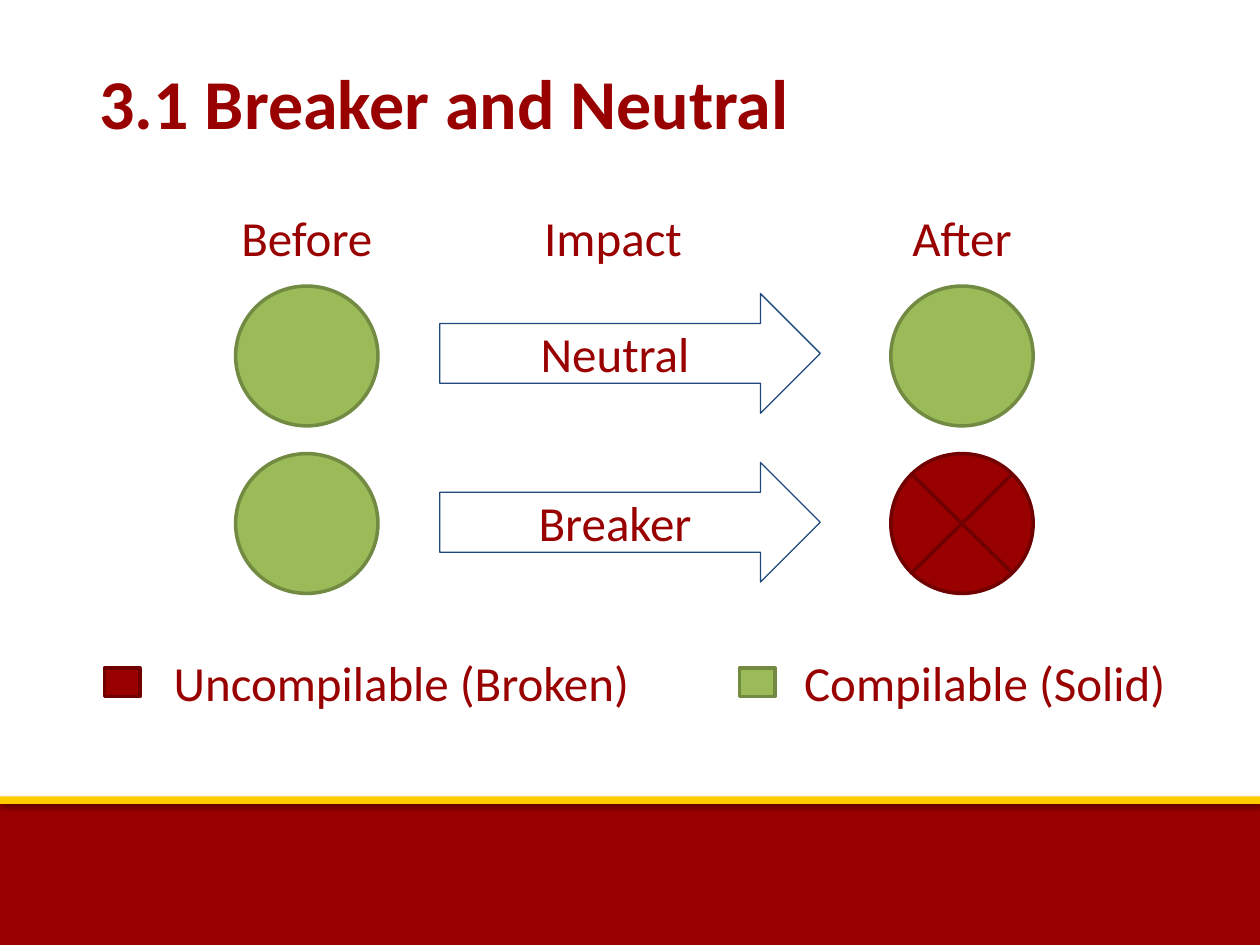
from dataclasses import dataclass

from lxml import etree
from pptx import Presentation
from pptx import util as u
from pptx.dml.color import RGBColor
from pptx.enum import shapes, text
from pptx.oxml import ns

Shape = shapes.MSO_SHAPE
Align = text.PP_ALIGN


@dataclass(frozen=True)
class Theme:
    font: str = "Calibri"
    title_size: int = 40
    body_size: int = 28
    red: str = "990000"
    red_edge: str = "710000"
    green: str = "9BBB59"
    green_edge: str = "738A42"
    gold: str = "FFCC00"
    blue: str = "1F497D"


@dataclass(frozen=True)
class State:
    shape: Shape
    fill: str
    edge: str


@dataclass(frozen=True)
class Change:
    label: str
    state_top: float
    arrow_top: float
    after: State


@dataclass(frozen=True)
class Label:
    text: str
    left: float
    width: float


@dataclass(frozen=True)
class Key:
    label: Label
    box_left: float
    fill: str
    edge: str


THEME = Theme()
SOLID = State(Shape.FLOWCHART_CONNECTOR, THEME.green, THEME.green_edge)
BROKEN = State(Shape.FLOWCHART_SUMMING_JUNCTION, THEME.red, THEME.red_edge)
BEFORE_LEFT, AFTER_LEFT = 1.87, 7.07

HEADINGS = [
    Label("Before", 1.69, 1.49),
    Label("Impact", 4.12, 1.49),
    Label("After", 6.95, 1.37),
]
CHANGES = [
    Change("Neutral", 2.27, 2.33, SOLID),
    Change("Breaker", 3.6, 3.67, BROKEN),
]
KEYS = [
    Key(Label("Uncompilable (Broken)", 1.21, 3.95), 0.83, THEME.red, THEME.red_edge),
    Key(Label("Compilable (Solid)", 6.31, 3.01), 5.87, THEME.green, THEME.green_edge),
]


def write(shape, words: str, *, size: int = THEME.body_size, bold: bool = False,
          align: Align = Align.CENTER, inset: float = 0.1, wrap: bool = True) -> None:
    frame = shape.text_frame
    frame.word_wrap = wrap
    frame.vertical_anchor = text.MSO_ANCHOR.MIDDLE
    frame.margin_left = frame.margin_right = u.Inches(inset)
    frame.margin_top = frame.margin_bottom = u.Inches(inset)
    paragraph = frame.paragraphs[0]
    paragraph.alignment = align
    run = paragraph.add_run()
    run.text = words
    run.font.name = THEME.font
    run.font.size = u.Pt(size)
    run.font.bold = bold
    run.font.color.rgb = RGBColor.from_string(THEME.red)


def add_figure(slide, kind: Shape, left: float, top: float, width: float, height: float,
               fill: str | None = None, edge: str | None = None, weight: float = 2):
    shape = slide.shapes.add_shape(kind, *map(u.Inches, (left, top, width, height)))
    shape.shadow.inherit = False
    if fill:
        shape.fill.solid()
        shape.fill.fore_color.rgb = RGBColor.from_string(fill)
    else:
        shape.fill.background()
    if edge:
        shape.line.color.rgb = RGBColor.from_string(edge)
        shape.line.width = u.Pt(weight)
    else:
        shape.line.fill.background()
    return shape


def add_label(slide, label: Label, top: float, height: float, inset: float) -> None:
    box = slide.shapes.add_textbox(*map(u.Inches, (label.left, top, label.width, height)))
    write(box, label.text, inset=inset, wrap=False)


def add_shadow(shape, blur: float, distance: float, opacity: int) -> None:
    effects = shape._element.spPr.find(ns.qn("a:effectLst"))
    shadow = etree.SubElement(effects, ns.qn("a:outerShdw"), blurRad=str(u.Pt(blur)),
                              dist=str(u.Pt(distance)), dir="5400000", rotWithShape="0")
    color = etree.SubElement(shadow, ns.qn("a:srgbClr"), val="000000")
    etree.SubElement(color, ns.qn("a:alpha"), val=str(opacity * 1000))


def add_footer(slide) -> None:
    band = add_figure(slide, Shape.RECTANGLE, 0, 6.35, 10, 1.15, THEME.red)
    add_shadow(band, 3.1, 1.8, 35)
    stripe = add_figure(slide, Shape.RECTANGLE, 0, 6.32, 10, 0.06, THEME.gold)
    add_shadow(stripe, 3.1, 1.6, 38)


def add_title(slide, words: str) -> None:
    title = slide.shapes.title
    title.left, title.top, title.width, title.height = map(u.Inches, (0.69, 0.4, 8.62, 0.81))
    write(title, words, size=THEME.title_size, bold=True, align=Align.LEFT)


def add_change(slide, change: Change) -> None:
    for left, state in ((BEFORE_LEFT, SOLID), (AFTER_LEFT, change.after)):
        add_figure(slide, state.shape, left, change.state_top, 1.13, 1.11,
                   state.fill, state.edge)
    arrow = add_figure(slide, Shape.RIGHT_ARROW, 3.49, change.arrow_top, 3.02, 0.95,
                       edge=THEME.blue, weight=0.75)
    write(arrow, change.label)


def add_key(slide, key: Key) -> None:
    add_figure(slide, Shape.RECTANGLE, key.box_left, 5.3, 0.28, 0.23, key.fill, key.edge)
    add_label(slide, key.label, 5.17, 0.49, 0)


def main() -> None:
    presentation = Presentation()
    presentation.slide_width, presentation.slide_height = u.Inches(10), u.Inches(7.5)
    slide = presentation.slides.add_slide(presentation.slide_layouts[5])

    # Footer and title
    add_footer(slide)
    add_title(slide, "3.1 Breaker and Neutral")

    # Column headings and the change in each row
    for heading in HEADINGS:
        add_label(slide, heading, 1.59, 0.58, 0.1)
    for change in CHANGES:
        add_change(slide, change)

    # Colour legend
    for key in KEYS:
        add_key(slide, key)

    presentation.save("out.pptx")


main()
